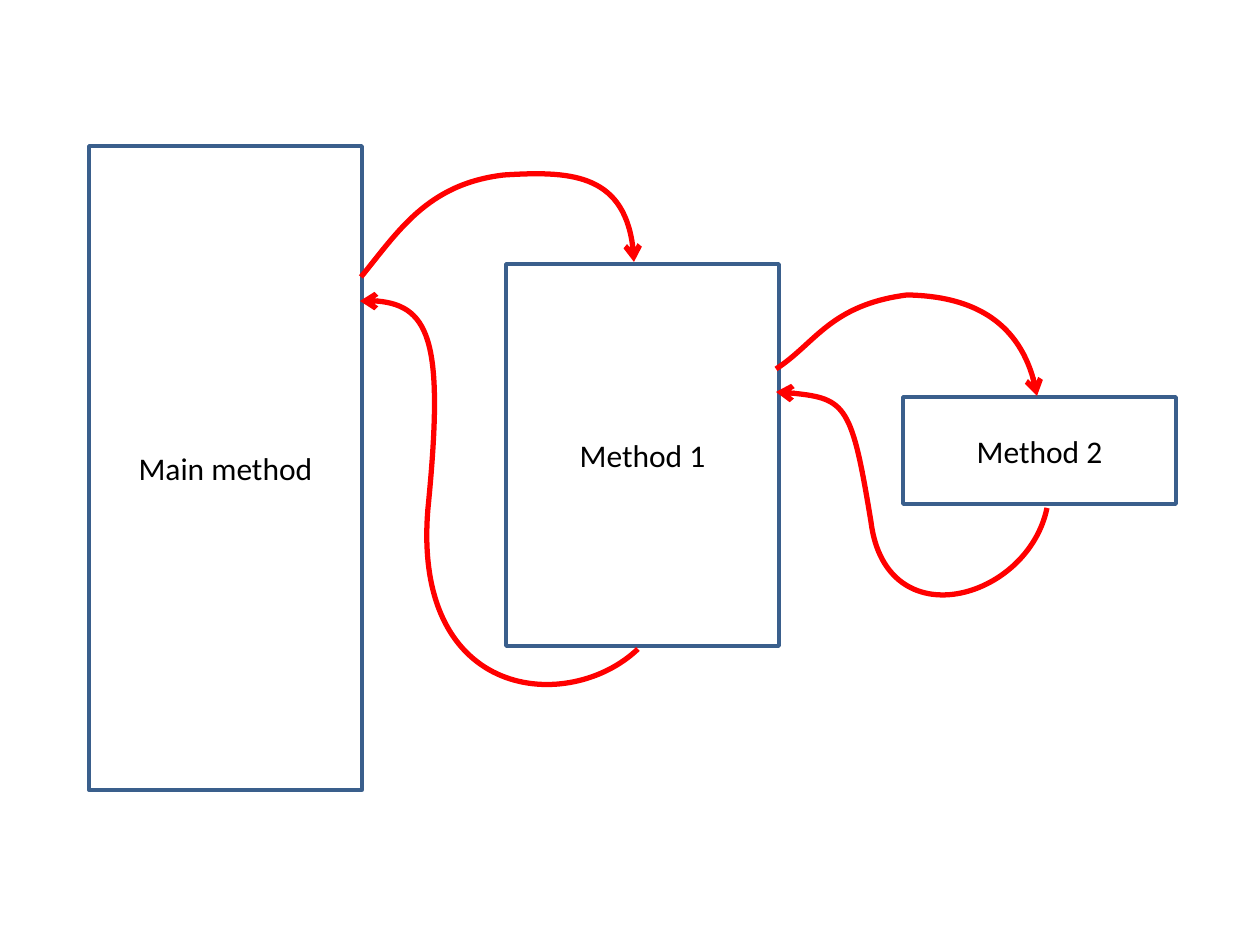
from dataclasses import dataclass

from pptx import Presentation
from pptx.dml.color import RGBColor
from pptx.enum.shapes import MSO_SHAPE
from pptx.enum.text import MSO_ANCHOR, PP_ALIGN
from pptx.oxml.ns import qn
from pptx.util import Emu, Pt
from lxml.etree import SubElement

PX = 914400 / 126  # EMU per pixel
BOX_WIDTH = 273
EXTENT_STEPS = 50


@dataclass(frozen=True)
class Theme:
    box_line: RGBColor = RGBColor(0x3A, 0x5F, 0x8C)
    arrow: RGBColor = RGBColor(0xFF, 0, 0)
    text: RGBColor = RGBColor(0, 0, 0)
    font: str = "Calibri"
    text_size: Pt = Pt(18)
    box_weight: Pt = Pt(2)
    arrow_weight: Pt = Pt(3)


THEME = Theme()

# Label, left, top, height
METHODS = [
    ("Main method", 89, 146, 644),
    ("Method 1", 506, 264, 382),
    ("Method 2", 903, 397, 107),
]

# Start point, then cubic segments: two control points and an end point
FLOWS = [
    # Method 1 returns to the main method
    ((638, 649), [((570, 714), (412, 702), (428, 509)),
                  ((444, 347), (430, 296), (360, 301))]),
    # Main method calls method 1
    ((361, 277), [((398, 232), (427, 184), (504, 175)),
                  ((568, 171), (631, 173), (634, 262))]),
    # Method 1 calls method 2
    ((776, 369), [((815, 344), (830, 305), (907, 295)),
                  ((971, 296), (1026, 325), (1037, 396))]),
    # Method 2 returns to method 1
    ((1047, 508), [((1028, 600), (886, 640), (871, 522)),
                   ((852, 406), (845, 396), (776, 392))]),
]


def px(n):
    return Emu(round(n * PX))


def style_outline(s, color, weight):
    s.shadow.inherit = False
    s.fill.background()
    s.line.color.rgb = color
    s.line.width = weight


def add_method(slide, label, left, top, height):
    s = slide.shapes.add_shape(MSO_SHAPE.FLOWCHART_PROCESS,
                               px(left), px(top), px(BOX_WIDTH), px(height))
    style_outline(s, THEME.box_line, THEME.box_weight)
    tf = s.text_frame
    tf.text = label
    tf.vertical_anchor = MSO_ANCHOR.MIDDLE
    p = tf.paragraphs[0]
    p.alignment = PP_ALIGN.CENTER
    font = p.runs[0].font
    font.name = THEME.font
    font.size = THEME.text_size
    font.color.rgb = THEME.text


def curve_extent(start, segments, axis):
    """Smallest and largest coordinate of the curve on one axis."""
    values = [start[axis]]
    for segment in segments:
        a, (b, c, d) = values[-1], [q[axis] for q in segment]
        for i in range(1, EXTENT_STEPS + 1):
            t = i / EXTENT_STEPS
            u = 1 - t
            values.append(u**3 * a + 3 * u * u * t * b + 3 * u * t * t * c + t**3 * d)
    return round(min(values)), round(max(values))


def add_flow(slide, start, segments):
    left, right = curve_extent(start, segments, 0)
    top, bottom = curve_extent(start, segments, 1)
    builder = slide.shapes.build_freeform(left, top, scale=PX)
    builder.add_line_segments([(right, bottom)], close=False)
    s = builder.convert_to_shape()
    # Cubic segments within the outline's frame
    outline = next(s._element.iter(qn("a:path")))
    for step in list(outline):
        outline.remove(step)
    for tag, points in [("a:moveTo", [start])] + [("a:cubicBezTo", g) for g in segments]:
        step = SubElement(outline, qn(tag))
        for x, y in points:
            SubElement(step, qn("a:pt"), x=str(x - left), y=str(y - top))
    style_outline(s, THEME.arrow, THEME.arrow_weight)
    # Open arrowhead at the end
    SubElement(s.line._get_or_add_ln(), qn("a:tailEnd"), type="arrow")


def main():
    prs = Presentation()
    prs.slide_width, prs.slide_height = px(1260), px(945)
    slide = prs.slides.add_slide(prs.slide_layouts[6])
    # Method boxes
    for method in METHODS:
        add_method(slide, *method)
    # Call and return arrows
    for start, segments in FLOWS:
        add_flow(slide, start, segments)
    prs.save("out.pptx")


main()
